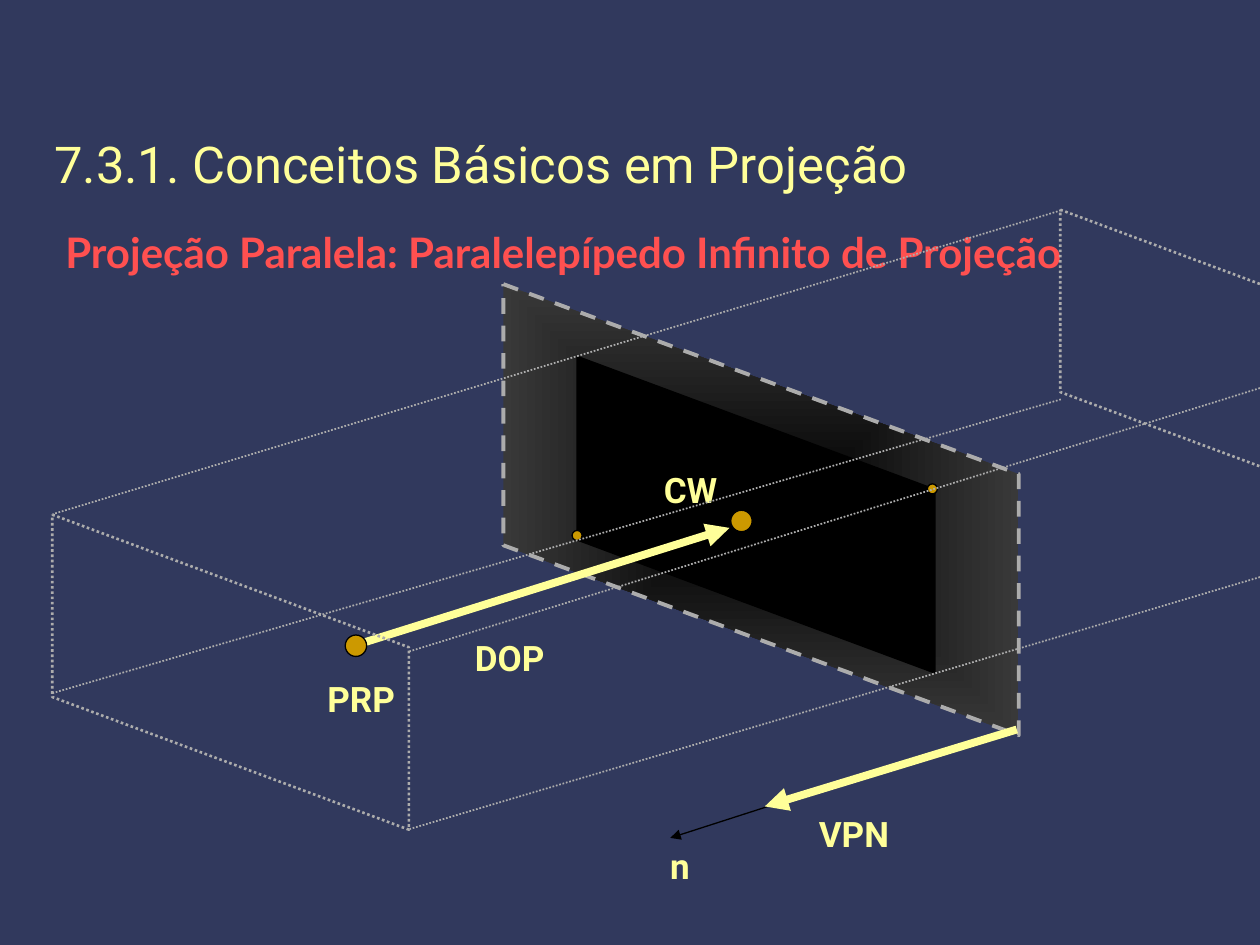
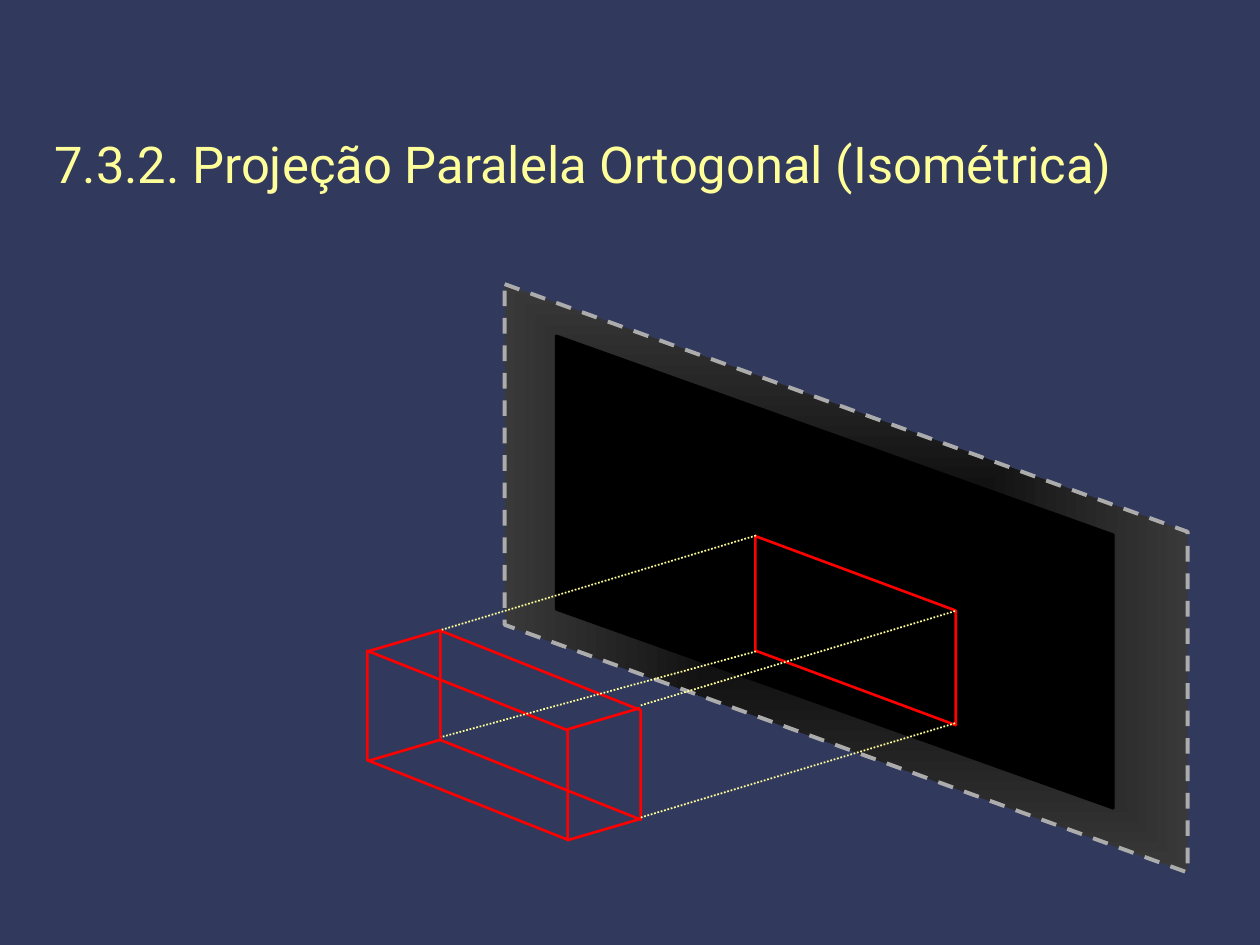
from dataclasses import dataclass

from lxml import etree
from pptx import Presentation
from pptx import util as u
from pptx.dml.color import RGBColor
from pptx.enum import dml, shapes, text
from pptx.oxml.ns import qn

PX = 9144  # one px is a hundredth of an inch
DASH = dml.MSO_LINE.DASH
DOTS = dml.MSO_LINE.ROUND_DOT
SLANT = shapes.MSO_SHAPE.PARALLELOGRAM
DOT = shapes.MSO_SHAPE.OVAL
LINE = shapes.MSO_CONNECTOR.STRAIGHT


@dataclass
class Theme:
    background: str = "31395D"
    black: str = "000000"
    plane_edge: str = "393939"
    gold: str = "CC9900"
    # Text formats: font, size, bold, colour
    title: tuple = ("Roboto", 29, False, "FFFF99")
    subtitle: tuple = ("Lato", 24, True, "FF5050")
    label: tuple = ("Roboto", 20, True, "FFFF99")
    # Pens: colour, width, dash
    plane_pen: tuple = ("ACACAC", 2.25, DASH)
    window_pen: tuple = ("000000", 1.5, None)
    thin_pen: tuple = ("000000", 0.75, None)
    vector_pen: tuple = ("FFFF99", 4.5, None)
    edge_pen: tuple = ("ACACAC", 1, DOTS)
    face_pen: tuple = ("ACACAC", 1.5, DOTS)
    solid_pen: tuple = ("FF0000", 1.5, None)
    ray_pen: tuple = ("FFFF99", 1, DOTS)


theme = Theme()


def draw(canvas, kind, at, pen, fill=None, skew=0.421, arrow=False):
    """Draw a line (x1, y1, x2, y2) or a shape (left, top, width, height)."""
    place = [value * PX for value in at]
    if kind == LINE:
        item = canvas.add_connector(kind, *place)
    else:
        item = canvas.add_shape(kind, *place)
        item.shadow.inherit = False
        if kind == SLANT:
            item.rotation = 90
            item.adjustments[0] = skew
        if fill is None:
            item.fill.background()
        elif isinstance(fill, str):
            item.fill.solid()
            item.fill.fore_color.rgb = RGBColor.from_string(fill)
        else:
            item.fill.gradient()
            for stop, colour in zip(item.fill.gradient_stops, fill):
                stop.color.rgb = RGBColor.from_string(colour)
            gradient = item._element.spPr.find(qn("a:gradFill"))
            gradient.remove(gradient.find(qn("a:lin")))
            path = etree.SubElement(gradient, qn("a:path"), path="shape")
            etree.SubElement(path, qn("a:fillToRect"), dict.fromkeys("ltrb", "50000"))
    colour, width, dash = pen
    item.line.color.rgb = RGBColor.from_string(colour)
    item.line.width = u.Pt(width)
    if dash:
        item.line.dash_style = dash
    if kind == LINE:
        outline = item._element.spPr
        if arrow:
            etree.SubElement(outline.find(qn("a:ln")), qn("a:tailEnd"), type="triangle")
        etree.SubElement(outline, qn("a:effectLst"))


def write(box, at, words, style, wrap=True):
    """Place a text box or placeholder and fill it with one formatted line."""
    for side, value in zip(("left", "top", "width", "height"), at):
        setattr(box, side, value * PX)
    fit = text.MSO_AUTO_SIZE.NONE if wrap else text.MSO_AUTO_SIZE.SHAPE_TO_FIT_TEXT
    frame_format = {"word_wrap": wrap, "auto_size": fit,
                    "vertical_anchor": text.MSO_ANCHOR.TOP}
    for name, value in frame_format.items():
        setattr(box.text_frame, name, value)
    para = box.text_frame.paragraphs[0]
    para.alignment = text.PP_ALIGN.LEFT
    span = para.add_run()
    span.text = words
    font, size, bold, colour = style
    for name, value in {"name": font, "size": u.Pt(size), "bold": bold}.items():
        setattr(span.font, name, value)
    span.font.color.rgb = RGBColor.from_string(colour)


# Deck, shared background and titled pages
deck = Presentation()
deck.slide_width, deck.slide_height = 1000 * PX, 750 * PX
backdrop = deck.slide_master.background.fill
backdrop.solid()
backdrop.fore_color.rgb = RGBColor.from_string(theme.background)

pages = []
for heading in ("7.3.1. Conceitos Básicos em Projeção",
                "7.3.2. Projeção Paralela Ortogonal (Isométrica)"):
    page = deck.slides.add_slide(deck.slide_layouts[5])
    write(page.shapes.title, (33, 100, 967, 67), heading, theme.title)
    pages.append(page)
concepts, orthogonal = (page.shapes for page in pages)

# Concepts: subtitle
write(concepts.add_textbox(0, 0, 0, 0), (42, 175, 933, 517),
      "Projeção Paralela: Paralelepípedo Infinito de Projeção", theme.subtitle)

# Projection plane and window on both pages
for canvas, plane, window in (
    (concepts, (425, 200, 358, 409), (475, 267, 250, 283)),
    (orthogonal, (438, 188, 467, 542), (475, 233, 375, 442)),
):
    draw(canvas, SLANT, plane, theme.plane_pen, (theme.black, theme.plane_edge))
    draw(canvas, SLANT, window, theme.window_pen, theme.black)

# Concepts: vectors, then points
for ends, pen in (
    ((799, 579, 532, 665), theme.thin_pen),
    ((807, 579, 607, 640), theme.vector_pen),
    ((279, 513, 579, 419), theme.vector_pen),
):
    draw(concepts, LINE, ends, pen, arrow=True)

for left, top, size in ((454, 421, 8), (736, 384, 8), (580, 405, 17), (274, 504, 17)):
    draw(concepts, DOT, (left, top, size, size), theme.thin_pen, theme.gold)

# Concepts: labels
for words, left, top, width in (
    ("n", 522, 665, 38),
    ("VPN", 640, 640, 78),
    ("CW", 517, 367, 67),
    ("PRP", 250, 533, 77),
    ("DOP", 367, 500, 81),
):
    write(concepts.add_textbox(0, 0, 0, 0), (left, top, width, 43),
          words, theme.label, wrap=False)

# Concepts: infinite parallelepiped
for ends in ((842, 317, 42, 550), (842, 167, 42, 408),
             (1000, 308, 325, 517), (1000, 458, 325, 658)):
    draw(concepts, LINE, ends, theme.edge_pen)
for left, top in ((58, 392), (858, 150)):
    draw(concepts, SLANT, (left, top, 250, 283), theme.face_pen)

# Orthogonal: solid made of two faces and four edges
solid = orthogonal.add_group_shape().shapes
for left, top in ((296, 512), (354, 496)):
    draw(solid, SLANT, (left, top, 150, 159), theme.solid_pen)
for x, y in ((292, 517), (450, 579), (292, 604), (450, 667)):
    draw(solid, LINE, (x, y, x + 58, y - 17), theme.solid_pen)

# Orthogonal: projected face and its rays
projection = orthogonal.add_group_shape().shapes
draw(projection, SLANT, (604, 421, 150, 159), theme.solid_pen, skew=0.394)
for x, y, rise in ((600, 425, 75), (758, 485, 75), (758, 574, 75), (600, 517, 68)):
    draw(projection, LINE, (x, y, x - 250, y + rise), theme.ray_pen)

deck.save("out.pptx")
